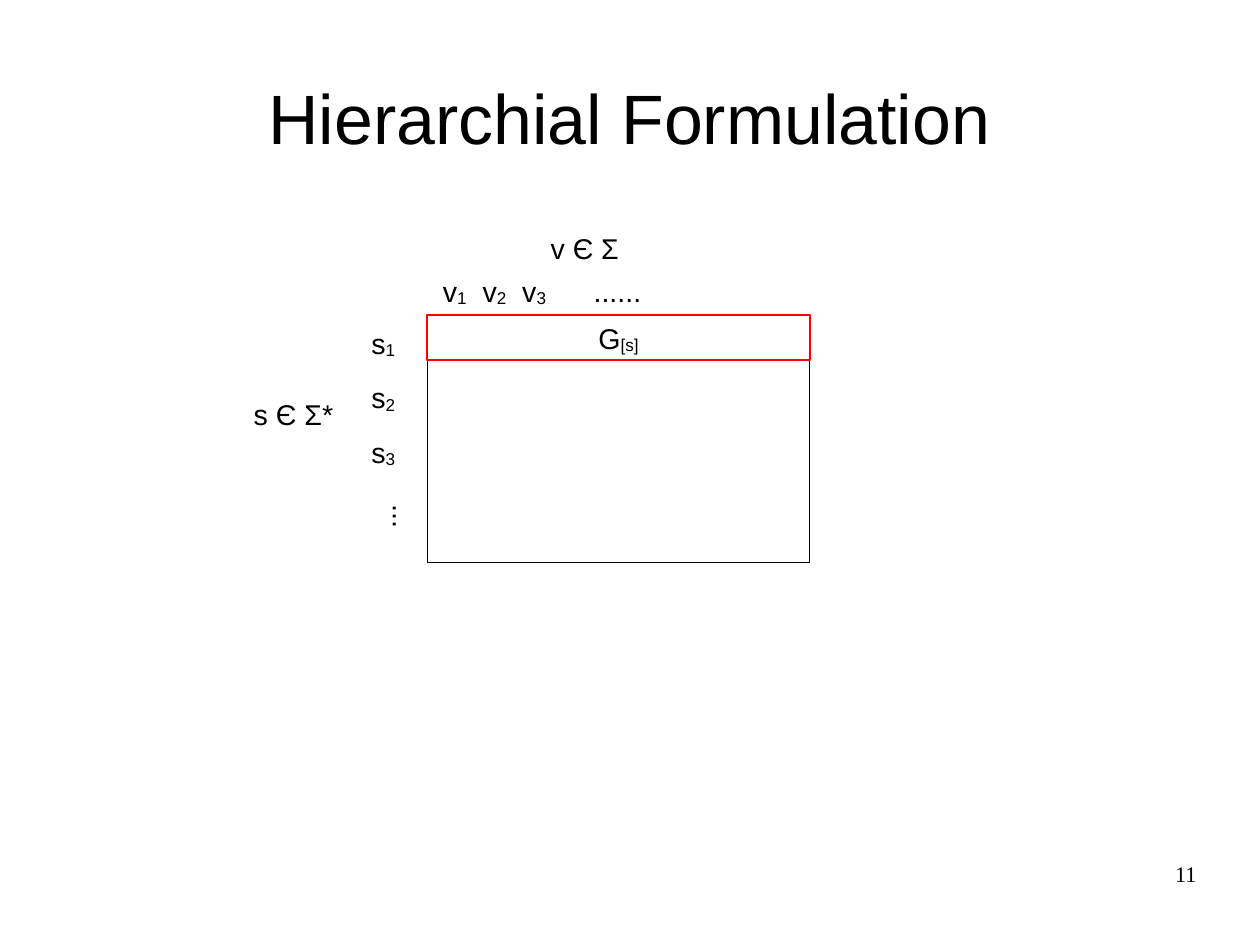
from pptx import Presentation
from pptx.util import Pt
from pptx.dml.color import RGBColor as RGB
from pptx.enum.shapes import MSO_SHAPE as Shape
from pptx.enum.text import MSO_ANCHOR as Anchor, PP_ALIGN as Align
from lxml.etree import SubElement
from pptx.oxml.ns import qn

COLORS = {"ink": "000000", "mark": "FF0000"}
LEFT, TOP, WIDTH = 269.2, 198.4, 241  # matrix corner and width
PAD = (7.2, 3.6)

deck = Presentation()
deck.slide_width, deck.slide_height = Pt(793.75), Pt(595.25)
slide = deck.slides.add_slide(deck.slide_layouts[6])


def write(frame, lines, size=18, font="Arial", align=Align.LEFT,
          pad=PAD, wrap=False, gap=0):
    """Fill a frame; in each line, every second part between bars is a subscript."""
    frame.word_wrap = wrap
    frame.margin_left = frame.margin_right = Pt(pad[0])
    frame.margin_top = frame.margin_bottom = Pt(pad[1])
    for row, line in enumerate(lines):
        para = frame.add_paragraph() if row else frame.paragraphs[0]
        para.alignment = align
        para.space_before = Pt(gap if row else 0)
        for part, text in enumerate(line.split("|")):
            if not text:
                continue
            run = para.add_run()
            run.text = text
            run.font.name = font
            run.font.size = Pt(size)
            run.font.color.rgb = RGB.from_string(COLORS["ink"])
            if part % 2:
                run.font.size = Pt(18.6)
                run._r.get_or_add_rPr().set("baseline", "-8000")


def label(box, lines, **style):
    shape = slide.shapes.add_textbox(*map(Pt, box))
    write(shape.text_frame, lines, **style)
    return shape


# Title
title = label((39.6, 23.8, 714.2, 99.4), ["Hierarchial Formulation"],
              size=44, align=Align.CENTER, pad=(0, 0), wrap=True)
title.text_frame.vertical_anchor = Anchor.MIDDLE

# Matrix outline and its marked first row
for high, color, line in [(156.2, "ink", 0), (28.3, "mark", 1.42)]:
    rect = slide.shapes.add_shape(
        Shape.RECTANGLE, Pt(LEFT), Pt(TOP), Pt(WIDTH), Pt(high))
    rect.shadow.inherit = False
    rect.fill.background()
    rect.line.color.rgb = RGB.from_string(COLORS[color])
    rect.line.width = Pt(line)
write(rect.text_frame, ["G|[s]|"], align=Align.CENTER, pad=(7.9, 4.3), wrap=True)
rect.text_frame.vertical_anchor = Anchor.MIDDLE

# Column heads, spaced by tab stops
heads = label((271.9, 168.2, 244.1, 33.1), ["v|1|\tv|2|\tv|3|\t......"], wrap=True)
props = heads.text_frame.paragraphs[0]._p.get_or_add_pPr()
tabs = SubElement(props, qn("a:tabLst"))
for stop in (25, 50, 95):
    SubElement(tabs, qn("a:tab"), pos=str(Pt(stop)), algn="l")

# Row heads
label((226.8, 201.2, 29.5, 126.7), ["s|1|", "s|2|", "s|3|"], gap=11.9)
dots = label((226.8, 311.4, 29.5, 27.4), ["..."])
dots.rotation = 270

# Axis names
label((339.8, 141.8, 58, 27.4), ["v Є Σ"])
label((152.8, 246.6, 66, 27.4), ["s Є Σ*"])

# Page number
label((568.8, 542.2, 185, 41), ["11"], size=14, font="Times New Roman",
      align=Align.RIGHT, pad=(0, 0), wrap=True)

deck.save("out.pptx")
